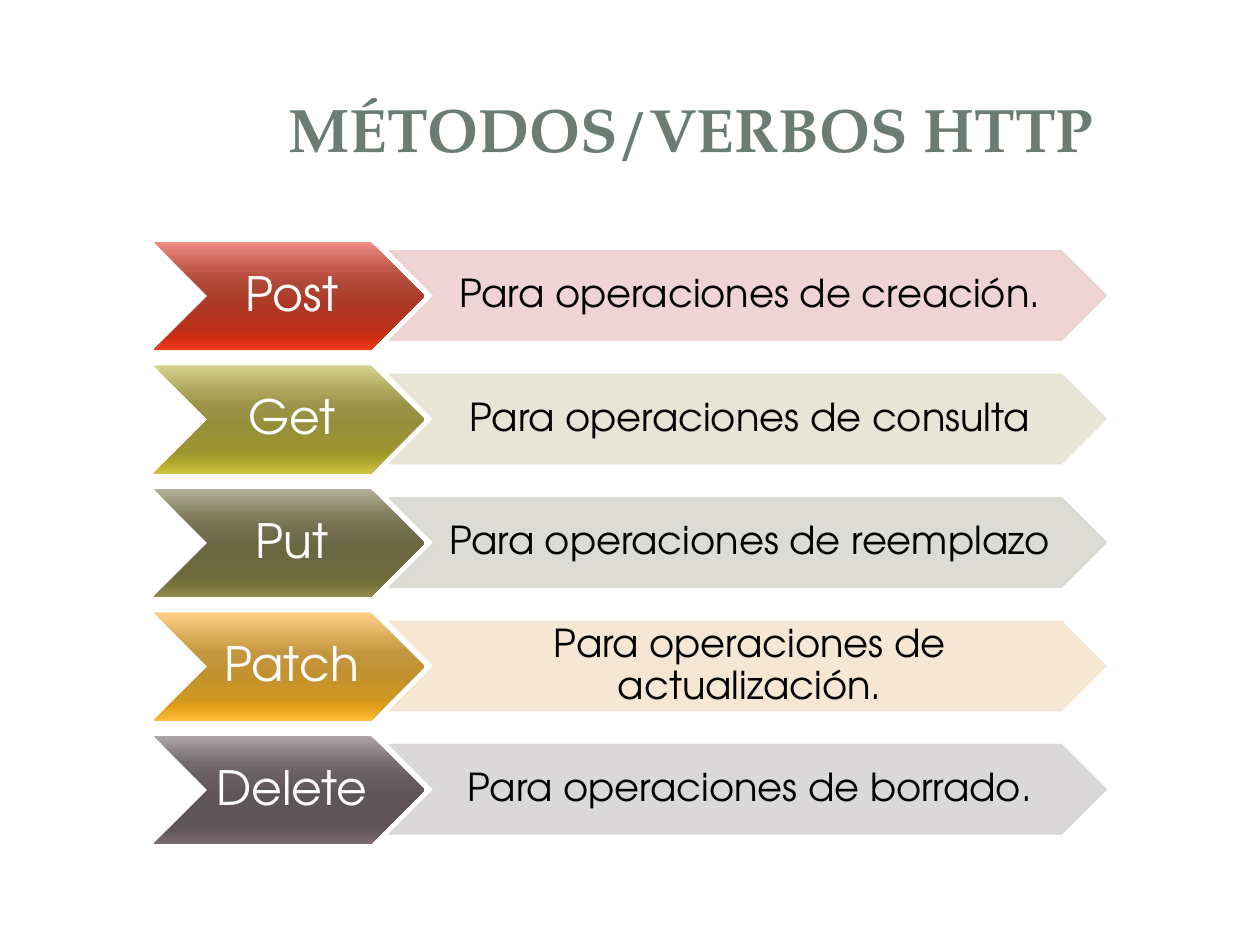
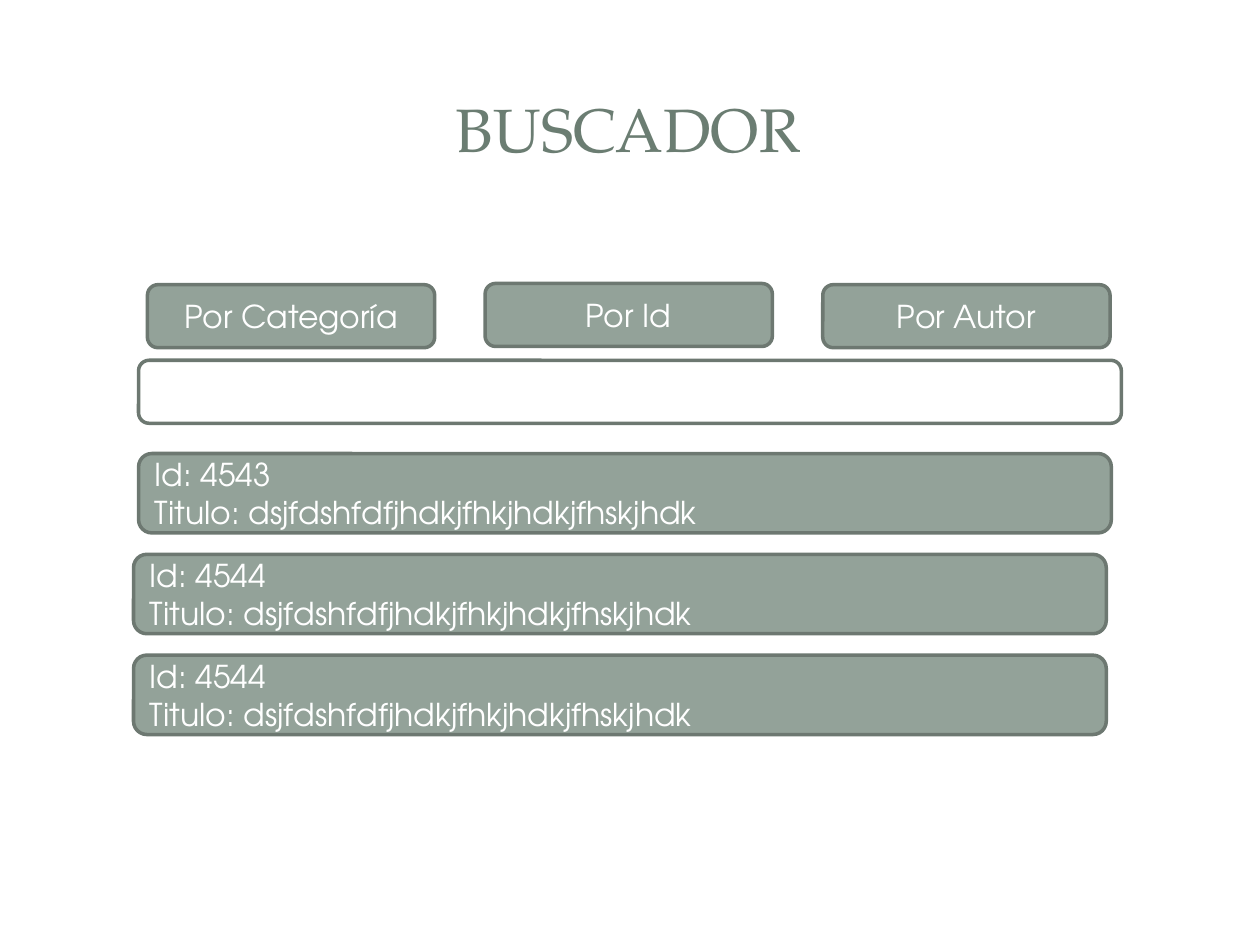
from lxml.etree import SubElement as Sub
from pptx import Presentation
from pptx.dml.color import RGBColor as Rgb
from pptx.enum.shapes import MSO_SHAPE as Shape
from pptx.enum.text import MSO_ANCHOR as Anchor, PP_ALIGN as Align
from pptx.oxml.ns import qn
from pptx.util import Pt

PX = 9144  # 100 px to the inch
SERIF = "TeX Gyre Pagella"
SANS = "TeX Gyre Adventor"
COLORS = {
    "title": "6B7D72",
    "sage": "93A299",
    "edge": "6D7871",
    "white": "FFFFFF",
    "black": "000000",
}
STOPS = (0, 25, 38, 55, 80, 88, 100)

# verb, use, gradient from top to bottom, tint of the use
VERBS = [
    ("Post", "Para operaciones de creación.",
     "EF8E85 C1584A B04839 AD3A26 BA2F18 CD2C10 F63D1F", "EDD1CF"),
    ("Get", "Para operaciones de consulta",
     "D8D290 AAA358 9A9348 958F39 9E962F ACA32C D0C53D", "E5E3D1"),
    ("Put", "Para operaciones de reemplazo",
     "B5B299 807C5C 726F4F 6B6741 6E6A3D 77723D 928C50", "D9D8D1"),
    ("Patch", "Para operaciones de actualización.",
     "FFD08A D7A952 C49640 C29230 CF9621 E4A119 FFBD3B", "F6E5D0"),
    ("Delete", "Para operaciones de borrado.",
     "ACA4A8 766C70 685E62 5F5458 5F5257 65555C 7E6C73", "D6D4D5"),
]
TABS = [("Por Categoría", 226), ("Por Id", 225), ("Por Autor", 226)]
HITS = [("4543", 110), ("4544", 106), ("4544", 106)]
NAME = "dsjfdshfdfjhdkjfhkjhdkjfhskjhdk"


def scale(*sizes):
    return [size * PX for size in sizes]


def write(shape, text, size, font=SANS, color="white", bold=False,
          align=Align.CENTER, pad=(10, 5, 10, 5), space=1.0):
    """Fill the shape with text, one paragraph a line; pad is left, top, right, bottom."""
    frame = shape.text_frame
    frame.word_wrap = True
    frame.vertical_anchor = Anchor.MIDDLE
    (frame.margin_left, frame.margin_top,
     frame.margin_right, frame.margin_bottom) = scale(*pad)
    frame.text = text
    for para in frame.paragraphs:
        para.alignment = align
        para.line_spacing = space
        style = para.font
        style.name, style.size, style.bold = font, Pt(size), bold
        style.color.rgb = Rgb.from_string(COLORS[color])


def add_title(slide, text, bold=False, indent=0):
    box = slide.shapes.add_textbox(*scale(47, 45, 903, 114))
    write(box, text, 35, font=SERIF, color="title", bold=bold,
          pad=(10 + indent, 5, 10, 5))


def add_form(slide, kind, box, fill=None, line=None, width=2):
    form = slide.shapes.add_shape(kind, *scale(*box))
    form.shadow.inherit = False
    if fill:
        form.fill.solid()
        form.fill.fore_color.rgb = Rgb.from_string(fill)
    if line:
        form.line.color.rgb = Rgb.from_string(line)
        form.line.width = Pt(width)
    else:
        form.line.fill.background()
    return form


def shade(form, hues):
    """Give the form a gradient that runs from top to bottom."""
    form.fill.gradient()
    form.fill.gradient_angle = 270
    stops = form._element.spPr.find(qn("a:gradFill")).find(qn("a:gsLst"))
    for old in list(stops):
        stops.remove(old)
    for place, hue in zip(STOPS, hues.split()):
        stop = Sub(stops, qn("a:gs"), pos=str(place * 1000))
        Sub(stop, qn("a:srgbClr"), val=hue)


def fade(form, share):
    """Set the opacity of fill and line, in percent."""
    for hue in form._element.spPr.iter(qn("a:srgbClr")):
        Sub(hue, qn("a:alpha"), val=str(share * 1000))


def add_verb(slide, top, verb, use, hues, tint):
    head = add_form(slide, Shape.CHEVRON, (122, top, 215, 86))
    shade(head, hues)
    write(head, verb, 27, pad=(4, 2, 0, 2), space=0.9)
    tail = add_form(slide, Shape.CHEVRON, (309, top + 7, 569, 71),
                    fill=tint, line=tint, width=0.75)
    fade(tail, 90)
    write(tail, use, 22, color="black", pad=(3, 2, 0, 2), space=0.9)


def add_panel(slide, box, fill="sage"):
    return add_form(slide, Shape.ROUNDED_RECTANGLE, box,
                    fill=COLORS[fill], line=COLORS["edge"])


def draw_verbs(slide):
    add_title(slide, "MÉTODOS/VERBOS HTTP", bold=True, indent=100)
    for row, verb in enumerate(VERBS):
        add_verb(slide, 192 + 98 * row, *verb)


def draw_search(slide):
    add_title(slide, "BUSCADOR")
    for col, (label, top) in enumerate(TABS):
        write(add_panel(slide, (117 + 268 * col, top, 228, 50)), label, 18)
    add_panel(slide, (110, 286, 780, 50), fill="white")
    for row, (code, left) in enumerate(HITS):
        hit = add_panel(slide, (left, 360 + 80 * row, 772, 63))
        write(hit, f"Id: {code}\nTitulo: {NAME}", 18, align=Align.LEFT)


def main():
    deck = Presentation()
    deck.slide_width, deck.slide_height = scale(1000, 750)
    blank = deck.slide_layouts[6]
    for draw in (draw_verbs, draw_search):
        draw(deck.slides.add_slide(blank))
    deck.save("out.pptx")


if __name__ == "__main__":
    main()
